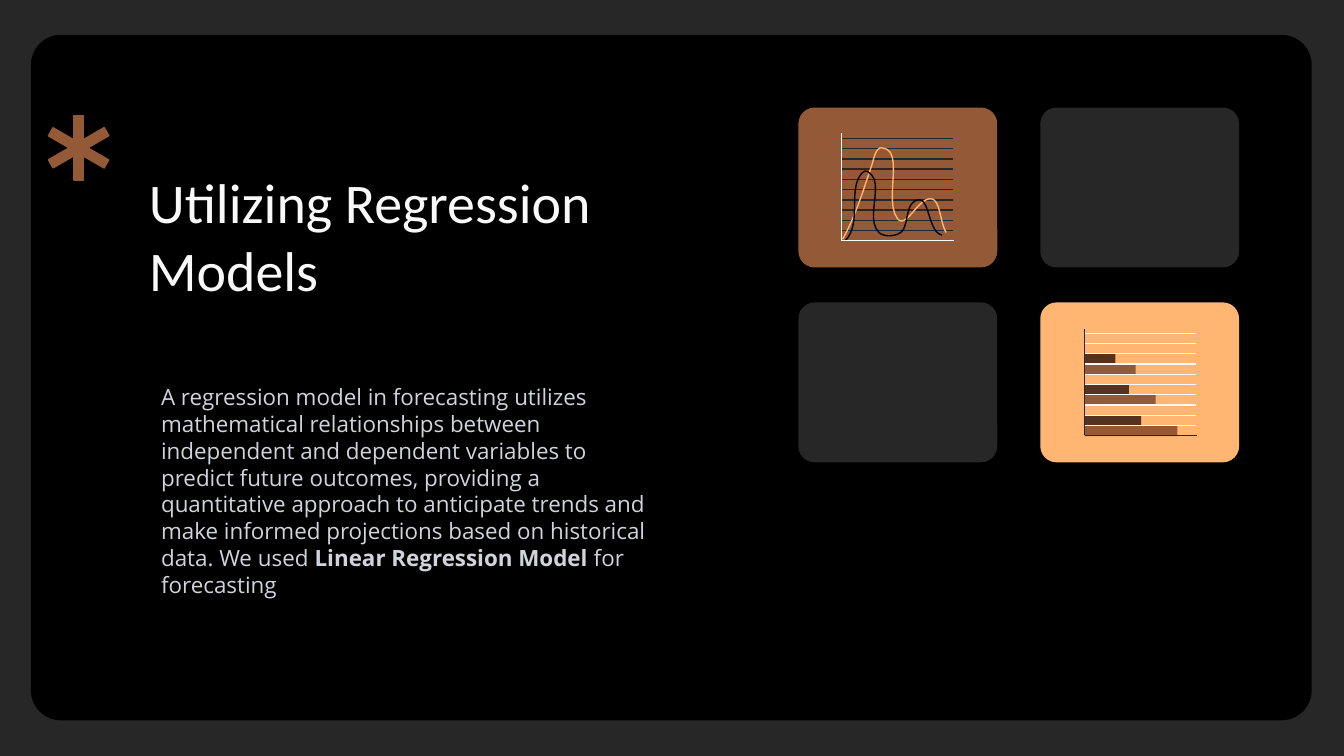
import pptx
import pptx.dml.color
import pptx.enum.shapes
import pptx.enum.text
import pptx.oxml.ns
import pptx.util
from lxml import etree

Inches = pptx.util.Inches
SHAPE = pptx.enum.shapes.MSO_SHAPE
BLACK, CHARCOAL, BROWN, DARK_BROWN = "000000", "272727", "945937", "53321F"
ORANGE, WHITE, GREY = "FFB673", "F9F9F9", "D1D5DB"
GRID_STEP = 0.61 / 8
AXIS_LENGTH = 0.83

RISING_CURVE = [
    (6.27, 1.78), (6.36, 1.62), (6.42, 1.43), (6.48, 1.25),
    (6.5, 1.2), (6.51, 1.1), (6.56, 1.1),
    (6.74, 1.11), (6.57, 1.49), (6.68, 1.63),
    (6.74, 1.7), (6.82, 1.5), (6.91, 1.48),
    (7, 1.46), (6.99, 1.65), (7.04, 1.73),
]
LOWER_CURVE = [
    (6.29, 1.79), (6.39, 1.69), (6.34, 1.51), (6.37, 1.38),
    (6.38, 1.33), (6.42, 1.25), (6.46, 1.28),
    (6.59, 1.36), (6.43, 1.62), (6.54, 1.73),
    (6.58, 1.77), (6.69, 1.76), (6.72, 1.71),
    (6.76, 1.64), (6.74, 1.52), (6.82, 1.49),
    (6.92, 1.45), (6.9, 1.73), (7.01, 1.75),
]
BARS = [(2, 0.23, DARK_BROWN), (3, 0.38, BROWN), (5, 0.33, DARK_BROWN),
        (6, 0.53, BROWN), (8, 0.42, DARK_BROWN), (9, 0.69, BROWN)]


def rgb(value):
    """Turn a hex string into a colour."""
    return pptx.dml.color.RGBColor.from_string(value)


def add_block(slide, kind, left, top, width, height, color):
    """Add a filled preset shape without outline or shadow."""
    block = slide.shapes.add_shape(
        kind, Inches(left), Inches(top), Inches(width), Inches(height))
    block.shadow.inherit = False
    block.fill.solid()
    block.fill.fore_color.rgb = rgb(color)
    block.line.fill.background()
    return block


def add_card(slide, left, top, color):
    """Add one rounded card of the grid."""
    card = add_block(slide, SHAPE.ROUNDED_RECTANGLE, left, top, 1.48, 1.19, color)
    card.adjustments[0] = 0.102


def add_rule(slide, x1, y1, x2, y2, color):
    """Add a thin straight line."""
    rule = slide.shapes.add_connector(
        pptx.enum.shapes.MSO_CONNECTOR.STRAIGHT,
        Inches(x1), Inches(y1), Inches(x2), Inches(y2))
    rule.line.color.rgb = rgb(color)
    rule.line.width = pptx.util.Pt(0.75)
    properties = rule._element.spPr
    etree.SubElement(properties, pptx.oxml.ns.qn("a:effectLst"))


def add_grid(slide, left, top, color):
    """Add the ten evenly spaced grid lines of a small chart."""
    for row in range(10):
        y = top + row * GRID_STEP
        add_rule(slide, left, y, left + AXIS_LENGTH, y, color)


def add_axes(slide, left, top, bottom, color):
    """Add the horizontal and vertical axis of a small chart."""
    add_rule(slide, left, bottom, left + AXIS_LENGTH + 0.01, bottom, color)
    add_rule(slide, left, top, left, bottom, color)


def bezier_points(controls, steps=12):
    """Sample a chain of cubic Bezier segments."""
    points = [controls[0]]
    for start in range(0, len(controls) - 1, 3):
        segment = controls[start:start + 4]
        for step in range(1, steps + 1):
            t = step / steps
            weights = ((1 - t) ** 3, 3 * t * (1 - t) ** 2, 3 * t * t * (1 - t), t ** 3)
            points.append(tuple(
                sum(w * p[axis] for w, p in zip(weights, segment)) for axis in (0, 1)))
    return points


def add_curve(slide, controls, color):
    """Add an open curved line."""
    points = [(Inches(x), Inches(y)) for x, y in bezier_points(controls)]
    builder = slide.shapes.build_freeform(*points[0])
    builder.add_line_segments(points[1:], close=False)
    curve = builder.convert_to_shape()
    curve.shadow.inherit = False
    curve.fill.background()
    curve.line.color.rgb = rgb(color)
    curve.line.width = pptx.util.Pt(0.75)


def add_text(slide, box, runs, font_name, size, color, anchor):
    """Add a wrapped paragraph from (text, bold) runs."""
    textbox = slide.shapes.add_textbox(*map(Inches, box))
    frame = textbox.text_frame
    frame.word_wrap = True
    frame.vertical_anchor = anchor
    frame.margin_left = frame.margin_right = Inches(0.1)
    frame.margin_top = frame.margin_bottom = Inches(0.1)
    paragraph = frame.paragraphs[0]
    paragraph.font.name = font_name
    paragraph.font.size = pptx.util.Pt(size)
    paragraph.font.color.rgb = rgb(color)
    for text, bold in runs:
        run = paragraph.add_run()
        run.text = text
        run.font.bold = bold


def add_asterisk(slide):
    """Add the asterisk made of three turned bars."""
    for angle in (0, 300, 60):
        bar = add_block(slide, SHAPE.RECTANGLE, 0.55, 0.86, 0.07, 0.48, BROWN)
        bar.rotation = angle
        bar.line.color.rgb = rgb(BROWN)
        bar.line.width = pptx.util.Pt(0.75)


def add_curve_chart(slide):
    """Add the small chart with two curves."""
    add_grid(slide, 6.26, 1.03, CHARCOAL)
    add_curve(slide, RISING_CURVE, ORANGE)
    add_curve(slide, LOWER_CURVE, BLACK)
    add_axes(slide, 6.26, 0.99, 1.79, WHITE)


def add_bar_chart(slide):
    """Add the small chart with horizontal bars."""
    left, top = 8.07, 2.48
    for row, length, color in BARS:
        add_block(slide, SHAPE.RECTANGLE, left, top + row * GRID_STEP, length, 0.08, color)
    add_axes(slide, left, 2.45, 3.24, CHARCOAL)
    add_grid(slide, left, top, WHITE)


def main():
    """Build the slide and save it."""
    presentation = pptx.Presentation()
    presentation.slide_width = Inches(10)
    presentation.slide_height = Inches(10) * 9 // 16
    slide = presentation.slides.add_slide(presentation.slide_layouts[6])
    slide.background.fill.solid()
    slide.background.fill.fore_color.rgb = rgb(CHARCOAL)

    panel = add_block(slide, SHAPE.ROUNDED_RECTANGLE, 0.23, 0.26, 9.53, 5.1, BLACK)
    panel.adjustments[0] = 0.044
    add_text(slide, (1.01, 0.88, 4.4, 1.47), [("Utilizing Regression Models", False)],
             "Calibri", 30, WHITE, pptx.enum.text.MSO_ANCHOR.BOTTOM)
    explanation = [
        ("A regression model in forecasting utilizes mathematical relationships between "
         "independent and dependent variables to predict future outcomes, providing a "
         "quantitative approach to anticipate trends and make informed projections based "
         "on historical data. We used ", False),
        ("Linear Regression Model", True),
        (" for forecasting", False),
    ]
    add_text(slide, (1.1, 2.75, 3.81, 0.65), explanation,
             "Open Sans", 12, GREY, pptx.enum.text.MSO_ANCHOR.TOP)
    add_asterisk(slide)
    for left, top, color in [(7.74, 0.8, CHARCOAL), (5.94, 2.25, CHARCOAL),
                             (5.94, 0.8, BROWN), (7.74, 2.25, ORANGE)]:
        add_card(slide, left, top, color)
    add_curve_chart(slide)
    add_bar_chart(slide)
    presentation.save("out.pptx")


if __name__ == "__main__":
    main()
